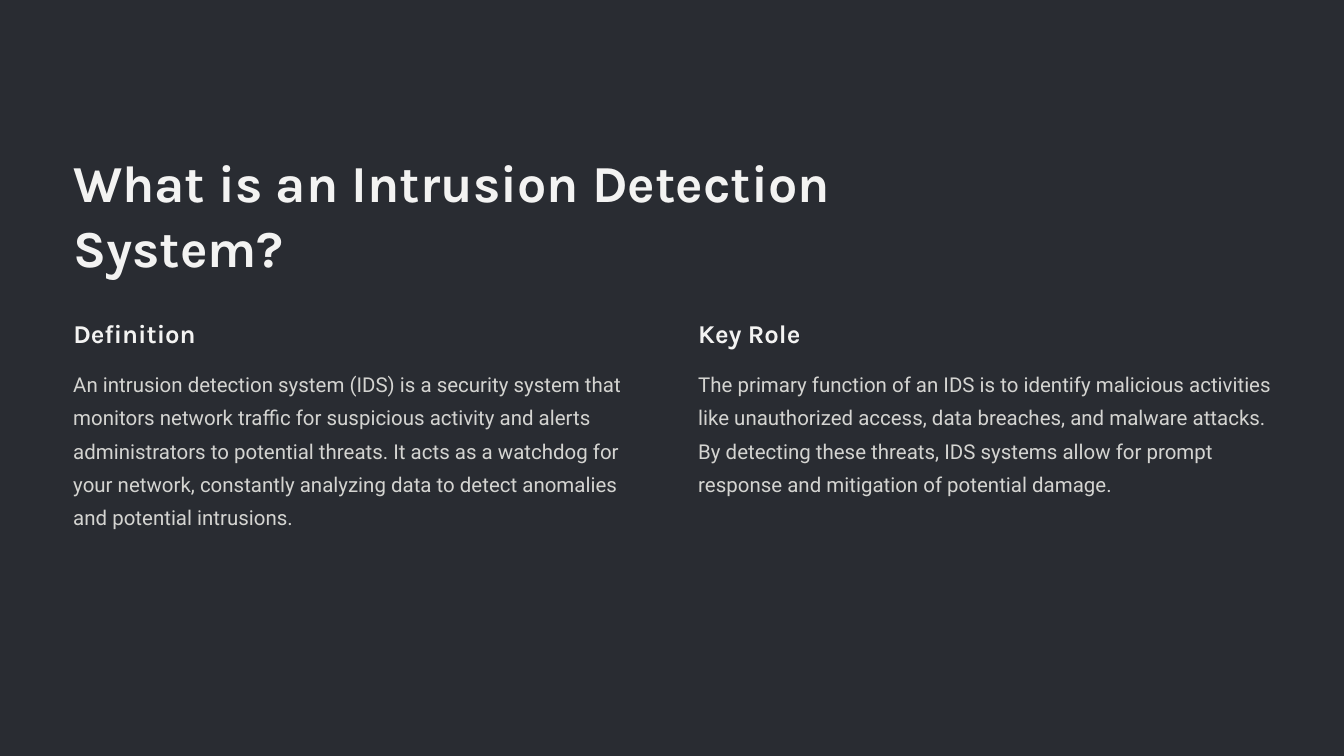
from dataclasses import dataclass

from pptx import Presentation
from pptx import util as u
from pptx.dml import color
from pptx.enum import shapes, text


@dataclass(frozen=True)
class Style:
    """Font, size, line pitch, colour and weight of one kind of text."""
    font: str
    size: float
    pitch: float
    color: str
    bold: bool = False


@dataclass(frozen=True)
class Theme:
    """Colours and type styles of the slide."""
    background: str = "292C32"
    title: Style = Style("Karla", 55.6, 69.4, "F3F3F2", True)
    heading: Style = Style("Karla", 27.5, 34.4, "F3F3F2", True)
    body: Style = Style("Roboto", 21.9, 35.6, "D4D4D1")


THEME = Theme()
WIDTH, HEIGHT = 20, 11.25
MARGIN = 1.09
COLUMN_WIDTH = 8.54
COLUMN_STEP = 9.3
COLUMNS = [
    ("Definition", 5,
     "An intrusion detection system (IDS) is a security system that monitors "
     "network traffic for suspicious activity and alerts administrators to "
     "potential threats. It acts as a watchdog for your network, constantly "
     "analyzing data to detect anomalies and potential intrusions."),
    ("Key Role", 4,
     "The primary function of an IDS is to identify malicious activities like "
     "unauthorized access, data breaches, and malware attacks. By detecting "
     "these threats, IDS systems allow for prompt response and mitigation of "
     "potential damage."),
]


def add_backdrop(s, box):
    """Fill the box with the background colour."""
    sp = s.shapes.add_shape(shapes.MSO_SHAPE.RECTANGLE, *map(u.Inches, box))
    sp.shadow.inherit = False
    sp.fill.solid()
    sp.fill.fore_color.rgb = color.RGBColor.from_string(THEME.background)
    sp.line.fill.background()


def add_text(s, left, top, width, lines, content, style):
    """Place one paragraph in a box as high as its lines."""
    box = (left, top, width, lines * style.pitch / 72)
    tf = s.shapes.add_textbox(*map(u.Inches, box)).text_frame
    tf.word_wrap = True
    tf.auto_size = text.MSO_AUTO_SIZE.SHAPE_TO_FIT_TEXT
    tf.margin_left = tf.margin_top = tf.margin_right = tf.margin_bottom = 0
    tf.text = content
    p = tf.paragraphs[0]
    p.line_spacing = u.Pt(style.pitch)
    font = p.runs[0].font
    font.name, font.size, font.bold = style.font, u.Pt(style.size), style.bold
    font.color.rgb = color.RGBColor.from_string(style.color)


def add_column(s, left, top, width, heading, lines, body):
    """Place a heading with its body text below it."""
    add_text(s, left, top, 3.88, 1, heading, THEME.heading)
    add_text(s, left, top + 0.7, width, lines, body, THEME.body)


def add_definition_slide(prs, left, top):
    """Add the slide with its title and two columns from the given corner."""
    s = prs.slides.add_slide(prs.slide_layouts[6])
    add_backdrop(s, (0, 0, WIDTH, HEIGHT))
    add_text(s, left, top, 13.97, 2,
             "What is an Intrusion Detection System?", THEME.title)
    for i, column in enumerate(COLUMNS):
        add_column(s, left + i * COLUMN_STEP, top + 2.5, COLUMN_WIDTH, *column)


def main():
    """Build the presentation and save it."""
    prs = Presentation()
    prs.slide_width, prs.slide_height = u.Inches(WIDTH), u.Inches(HEIGHT)
    add_definition_slide(prs, MARGIN, 2.21)
    prs.save("out.pptx")


if __name__ == "__main__":
    main()
